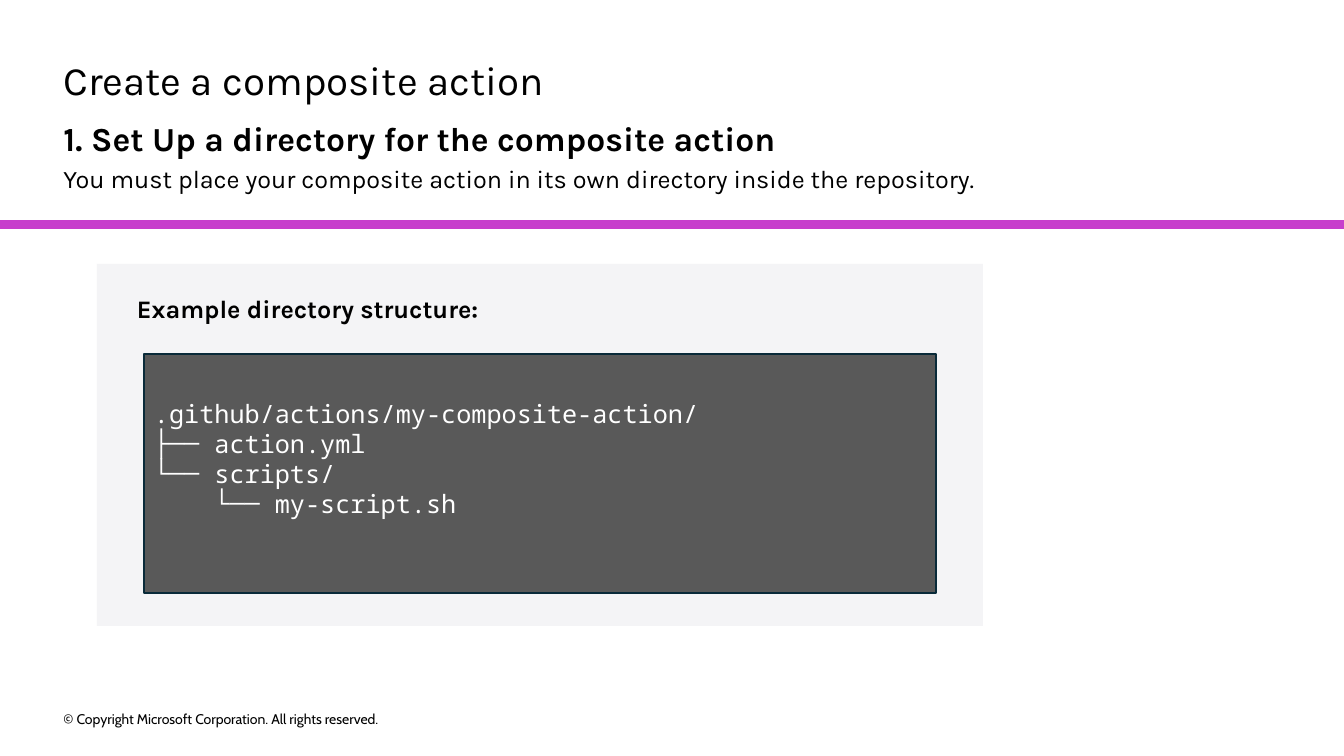
from lxml.etree import SubElement
from pptx import Presentation
from pptx.dml.color import RGBColor
from pptx.enum.shapes import MSO_CONNECTOR as Connector, MSO_SHAPE as Preset
from pptx.enum.text import MSO_ANCHOR as Anchor, PP_ALIGN as Align
from pptx.oxml.ns import qn
from pptx.util import Cm, Pt


def color(value):
    return RGBColor.from_string(value)


class SlideBuilder:
    black = "000000"
    white = "FFFFFF"
    accent = "C73ECC"
    panel_fill = "F4F4F6"
    code_fill = "595959"
    code_border = "092A39"
    heading_font = "Karla"
    footer_font = "Cabin"
    code_font = "Noto Sans Mono"
    default_insets = (0.25, 0.13, 0.25, 0.13)
    no_insets = (0, 0, 0, 0)

    def __init__(self, presentation):
        self.slide = presentation.slides.add_slide(presentation.slide_layouts[6])
        self.slide.background.fill.solid()
        self.slide.background.fill.fore_color.rgb = color(self.white)

    def rule(self, left, top, right, width):
        line = self.slide.shapes.add_connector(
            Connector.STRAIGHT, Cm(left), Cm(top), Cm(right), Cm(top)
        )
        line.line.color.rgb = color(self.accent)
        line.line.width = Pt(width)
        SubElement(line._element.spPr, qn("a:effectLst"))

    def rectangle(self, box, fill, border=None):
        shape = self.slide.shapes.add_shape(Preset.RECTANGLE, *map(Cm, box))
        shape.shadow.inherit = False
        shape.fill.solid()
        shape.fill.fore_color.rgb = color(fill)
        if border:
            shape.line.color.rgb = color(border)
            shape.line.width = Pt(1.5)
        else:
            shape.line.fill.background()
        return shape

    def fill_text(self, shape, lines, font, ink, insets, anchor, align=Align.LEFT,
                  space_before=0, line_spacing=1.0):
        frame = shape.text_frame
        frame.word_wrap = True
        frame.vertical_anchor = anchor
        frame.margin_left, frame.margin_top, frame.margin_right, frame.margin_bottom = map(Cm, insets)
        for index, (text, size, bold) in enumerate(lines):
            paragraph = frame.add_paragraph() if index else frame.paragraphs[0]
            paragraph.alignment = align
            paragraph.line_spacing = line_spacing
            paragraph.space_before = Pt(space_before if index else 0)
            run = paragraph.add_run()
            run.text = text
            run.font.name = font
            run.font.size = Pt(size)
            run.font.bold = bold
            run.font.color.rgb = color(ink)

    def text(self, box, lines, font=heading_font, insets=default_insets,
             anchor=Anchor.MIDDLE, **options):
        shape = self.slide.shapes.add_textbox(*map(Cm, box))
        self.fill_text(shape, lines, font, self.black, insets, anchor, **options)

    def code(self, box, lines, size):
        shape = self.rectangle(box, self.code_fill, self.code_border)
        self.fill_text(shape, [(line, size, False) for line in lines], self.code_font,
                       self.white, (0.25, 0.13, 0.25, 0.89), Anchor.MIDDLE)


def main():
    presentation = Presentation()
    presentation.slide_width = Cm(33.87)
    presentation.slide_height = Cm(19.05)
    builder = SlideBuilder(presentation)

    builder.rule(0, 5.66, 33.87, 6)
    builder.text((1.35, 1.65, 28.09, 0.86),
                 [("Create a composite action", 28.8, False)], line_spacing=0.9)
    builder.text(
        (1.6, 3.25, 29.82, 1.37),
        [
            ("1. Set Up a directory for the composite action", 24, True),
            ("You must place your composite action in its own directory inside the repository.", 18, False),
        ],
        insets=builder.no_insets, align=Align.JUSTIFY, space_before=3.6,
    )
    builder.text((1.6, 17.83, 11.53, 0.56),
                 [("© Copyright Microsoft Corporation. All rights reserved.", 10, False)],
                 font=builder.footer_font, insets=builder.no_insets)

    builder.rectangle((2.44, 6.65, 22.33, 9.12), builder.panel_fill)
    builder.text((3.2, 7.26, 12.4, 1.02),
                 [("Example directory structure:", 18, True)], anchor=Anchor.TOP)
    builder.code(
        (3.63, 8.92, 19.96, 6.02),
        [
            ".github/actions/my-composite-action/",
            "├── action.yml",
            "└── scripts/",
            "    └── my-script.sh",
        ],
        18,
    )
    presentation.save("out.pptx")


if __name__ == "__main__":
    main()
